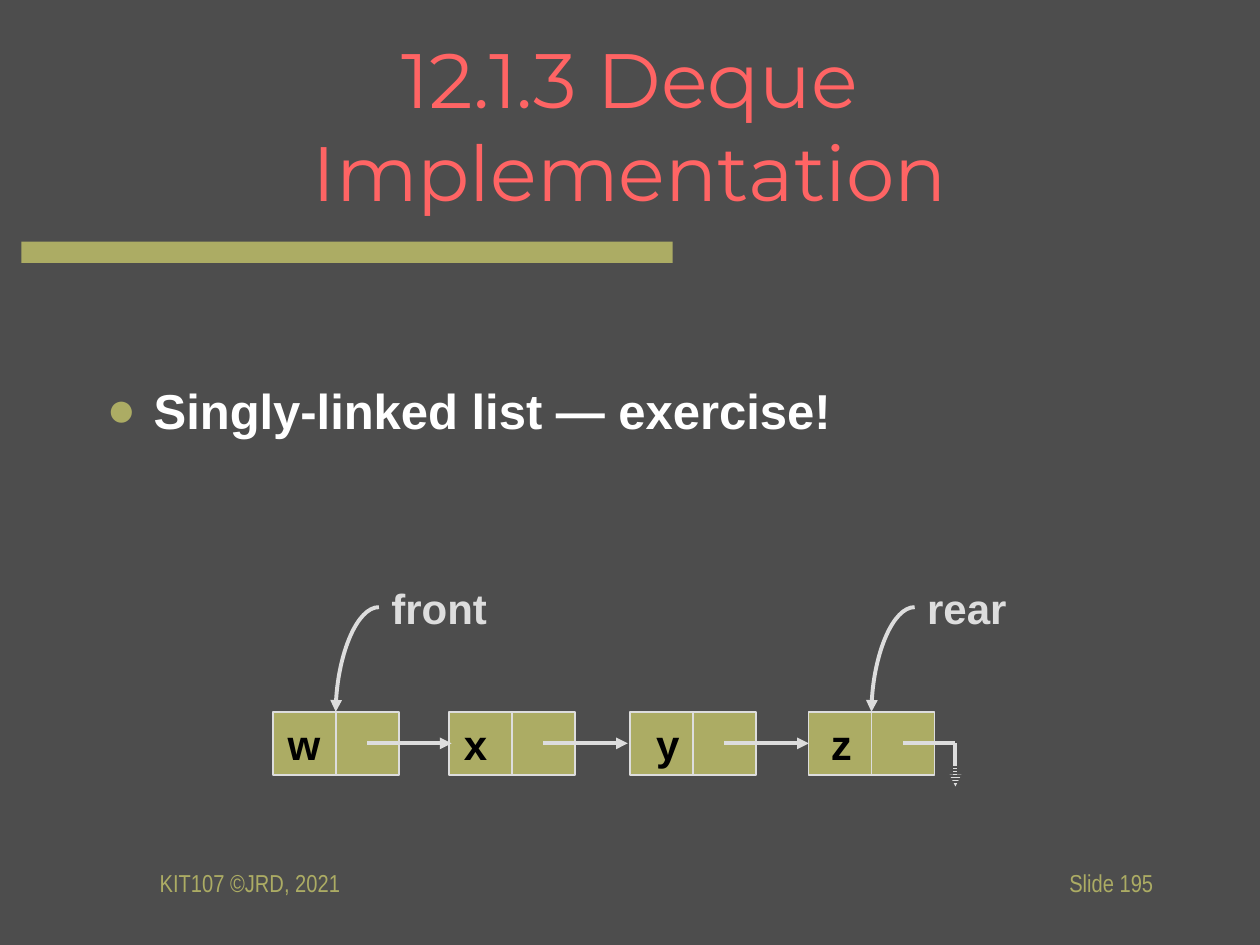
from lxml.etree import SubElement
from pptx import Presentation
from pptx.dml.color import RGBColor
from pptx.enum.shapes import MSO_CONNECTOR, MSO_SHAPE
from pptx.enum.text import MSO_ANCHOR, MSO_AUTO_SIZE, PP_ALIGN
from pptx.oxml.ns import qn
from pptx.util import Cm, Pt

BACK, OLIVE, PALE = "4D4D4D", "ACAC64", "DDDDDD"
CORAL, WHITE, BLACK = "FF6464", "FFFFFF", "000000"
NODE_W, NODE_H = 2.54, 1.27
LABEL = {"name": "Arial", "size": Pt(24), "bold": True}
FOOTER = {"name": "Arial Narrow", "size": Pt(14)}


def rgb(value):
    return RGBColor.from_string(value)


def write(sp, text, color, font, align=PP_ALIGN.LEFT, **frame):
    tf = sp.text_frame
    for name, value in frame.items():
        setattr(tf, name, value)
    p = tf.paragraphs[0]
    p.alignment = align
    r = p.add_run()
    r.text = text
    r.font.color.rgb = rgb(color)
    for name, value in font.items():
        setattr(r.font, name, value)
    return p


def add_text(s, box, *args, **frame):
    sp = s.shapes.add_textbox(*map(Cm, box))
    return write(sp, *args, **{"word_wrap": True, **frame})


def add_rect(s, box, line=None):
    sp = s.shapes.add_shape(MSO_SHAPE.RECTANGLE, *map(Cm, box))
    sp.shadow.inherit = False
    sp.fill.solid()
    sp.fill.fore_color.rgb = rgb(OLIVE)
    if line:
        sp.line.color.rgb = rgb(line)
        sp.line.width = Pt(1)
    else:
        sp.line.fill.background()


def add_line(s, x1, y1, x2, y2, color=PALE, width=1, arrow=False, curve=False):
    kind = MSO_CONNECTOR.CURVE if curve else MSO_CONNECTOR.STRAIGHT
    cxn = s.shapes.add_connector(kind, *map(Cm, (x1, y1, x2, y2)))
    cxn.line.color.rgb = rgb(color)
    cxn.line.width = Pt(width)
    props = cxn._element.spPr
    if curve:
        props.find(qn("a:prstGeom")).set("prst", "curvedConnector2")
    if arrow:
        SubElement(props.find(qn("a:ln")), qn("a:tailEnd"), type="triangle")
    SubElement(props, qn("a:effectLst"))


def add_heading(s, x, y, w, h):
    title = s.shapes.title
    title.left, title.top, title.width, title.height = map(Cm, (x, y, w, h))
    write(title, "12.1.3 Deque Implementation", CORAL,
          {"name": "Montserrat", "size": Pt(44)}, PP_ALIGN.CENTER,
          vertical_anchor=MSO_ANCHOR.MIDDLE, auto_size=MSO_AUTO_SIZE.NONE)
    add_rect(s, (0.43, y + 3.96, 13.13, 0.43))


def add_body(s, *box):
    p = add_text(s, box, "Singly-linked list — exercise!", WHITE,
                 {"name": "Arial", "size": Pt(28), "bold": True},
                 vertical_anchor=MSO_ANCHOR.MIDDLE)
    pPr = p._p.get_or_add_pPr()
    pPr.set("marL", str(Cm(0.95)))
    pPr.set("indent", str(-Cm(0.95)))
    before = SubElement(pPr, qn("a:spcBef"))
    SubElement(before, qn("a:spcPct"), val="20000")
    color = SubElement(pPr, qn("a:buClr"))
    SubElement(color, qn("a:srgbClr"), val=OLIVE)
    SubElement(pPr, qn("a:buFont"), typeface="Arial")
    SubElement(pPr, qn("a:buChar"), char="●")


def add_node(s, x, y, text, offset, width):
    add_rect(s, (x, y, NODE_W, NODE_H), PALE)
    add_line(s, x + NODE_W / 2, y, x + NODE_W / 2, y + NODE_H)
    add_text(s, (x + offset, y, width, NODE_H), text, BLACK, LABEL, word_wrap=False)


def add_next(s, x, y):
    x, y = x + NODE_W * 0.75, y + NODE_H / 2
    add_line(s, x, y, x + 1.7, y, width=2.25, arrow=True)


def add_ground(s, x, y):
    start, end, y = x + NODE_W * 0.75, x + 2.96, y + NODE_H / 2
    add_line(s, start, y, end, y, width=2.25)
    add_line(s, end, y, end, y + 0.87, width=2.25, arrow=True)
    for i in range(6):
        bar = y + 0.48 + i * 0.06
        add_line(s, end - 0.32, bar, end + 0.32, bar, BACK)


def add_pointer(s, x, y, text, width):
    x += NODE_W / 2
    add_line(s, x + 0.87, y - 2.11, x, y, width=2.25, arrow=True, curve=True)
    add_text(s, (x + 0.87, y - 2.74, width, NODE_H), text, PALE, LABEL, word_wrap=False)


def add_linked_list(s, x, y):
    nodes = [(0, "w", 0.05, 1.17), (3.55, "x", 0.05, 0.99),
             (7.2, "y", 0.28, 0.99), (10.8, "z", 0.2, 0.94)]
    for dx, *label in nodes:
        add_node(s, x + dx, y, *label)
    for dx, *_ in nodes[:-1]:
        add_next(s, x + dx, y)
    last = x + nodes[-1][0]
    add_ground(s, last, y)
    add_pointer(s, x, y, "front", 2.44)
    add_pointer(s, last, y, "rear", 2.11)


def add_footer(s, x, y, w, h):
    part = 5.28
    middle = {"vertical_anchor": MSO_ANCHOR.MIDDLE}
    add_text(s, (x, y, part, h), "KIT107 ©JRD, 2021", OLIVE, FOOTER, **middle)
    add_text(s, (x + w - part, y, part, h), "Slide 195", OLIVE, FOOTER,
             PP_ALIGN.RIGHT, **middle)


def main():
    prs = Presentation()
    prs.slide_width, prs.slide_height = Cm(25.4), Cm(19.05)
    s = prs.slides.add_slide(prs.slide_layouts[5])
    s.background.fill.solid()
    s.background.fill.fore_color.rgb = rgb(BACK)
    add_heading(s, 1.9, 0.91, 21.6, 3.18)
    add_body(s, 1.9, 5.51, 21.6, 5.51)
    add_linked_list(s, 5.5, 14.35)
    add_footer(s, 2.97, 17.15, 20.53, 1.27)
    prs.save("out.pptx")


if __name__ == "__main__":
    main()
